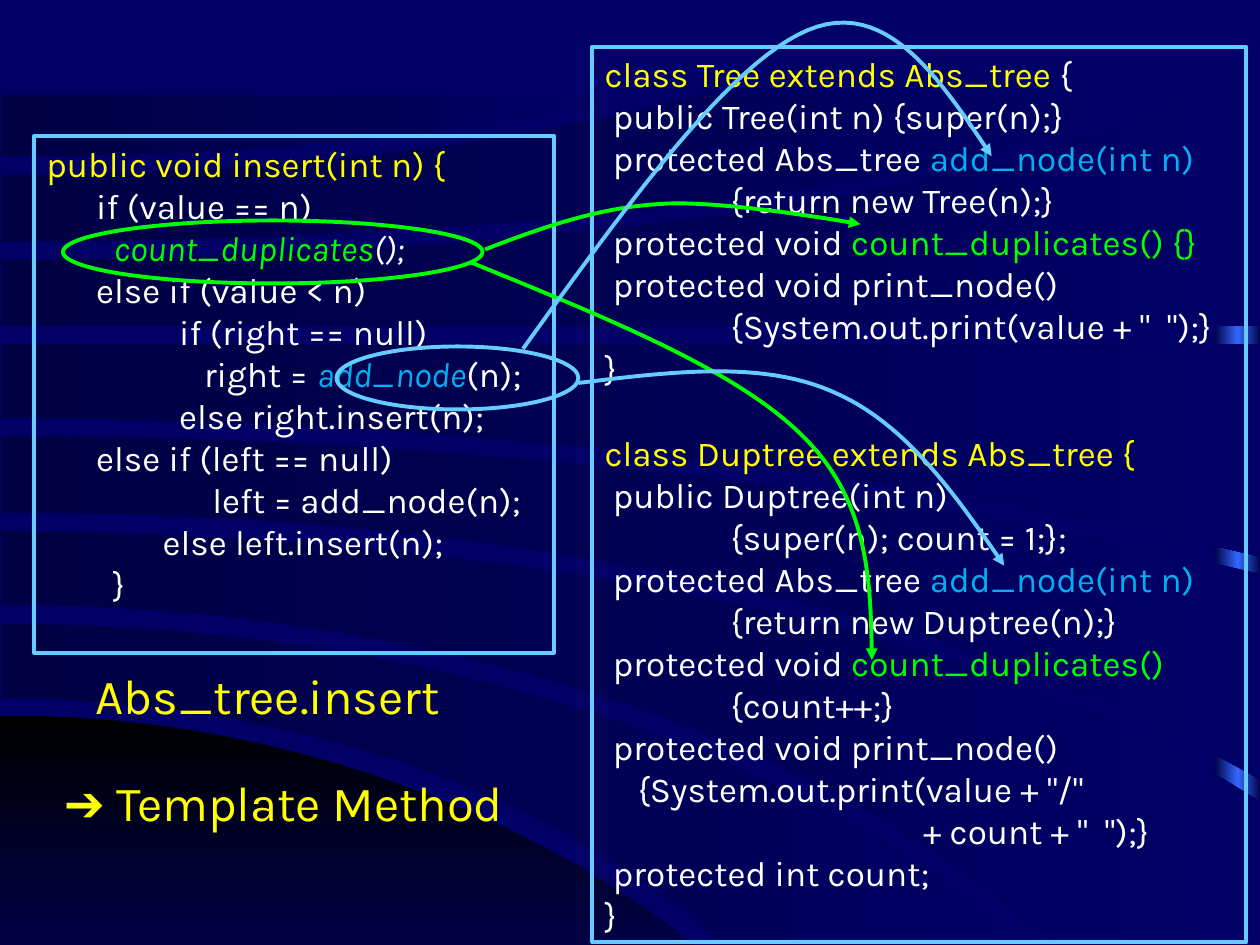
from copy import deepcopy
from lxml.etree import SubElement as Sub
from pptx import Presentation
from pptx.dml.color import RGBColor
from pptx.enum.shapes import MSO_SHAPE as Kind
from pptx.enum.text import MSO_ANCHOR as Anchor, PP_ALIGN as Align
from pptx.oxml.ns import qn
from pptx.util import Inches, Pt

color = RGBColor.from_string
NAVY, DARK, BLUE = "000066", "000044", "3366FF"
YELLOW, WHITE, GREEN = "FFFF00", "FFFFFF", "00FF00"
SKY, CYAN = "66CCFF", "00B0F0"


def trace(parts, close):
    """Draw one outline; a part of four points is a cubic curve, others are corners."""
    dots = []
    for part in parts:
        if len(part) == 4:
            for i in range(25):
                t = i / 24
                mix = ((1 - t) ** 3, 3 * t * (1 - t) ** 2, 3 * t * t * (1 - t), t ** 3)
                dots.append([sum(m * p[k] for m, p in zip(mix, part)) for k in (0, 1)])
        else:
            dots.extend(part)
    dots = [(Inches(x), Inches(y)) for x, y in dots]
    pen = shapes.build_freeform(*dots[0], scale=1.0)
    pen.add_line_segments(dots[1:], close=close)
    shape = pen.convert_to_shape()
    shape.shadow.inherit = False
    return shape


def write(box, lines, size):
    """Fill a box; a line is white text or a list of (text, color, italic, font)."""
    frame = box.text_frame
    frame.vertical_anchor = Anchor.TOP
    for i, line in enumerate(lines):
        para = frame.add_paragraph() if i else frame.paragraphs[0]
        para.alignment = Align.LEFT
        tabs = Sub(para._p.get_or_add_pPr(), qn("a:tabLst"))
        for stop in (1, 2):
            Sub(tabs, qn("a:tab"), pos=str(Inches(stop)), algn="l")
        for text, tone, *style in [(line, WHITE)] if isinstance(line, str) else line:
            run = para.add_run()
            run.text = text
            run.font.size = Pt(size)
            run.font.color.rgb = color(tone)
            run.font.italic = bool(style and style[0])
            run.font.name = style[1] if len(style) > 1 else "Karla"


deck = Presentation()
deck.slide_width, deck.slide_height = Inches(10), Inches(7.5)
slide = deck.slides.add_slide(deck.slide_layouts[6])
shapes = slide.shapes
slide.background.fill.solid()
slide.background.fill.fore_color.rgb = color(NAVY)

# Glowing edge, seen through the gaps between the bands
glow = shapes.add_shape(Kind.RECTANGLE, Inches(9.64), Inches(0.77), Inches(0.37), Inches(7.5))
glow.shadow.inherit = False
glow.line.fill.background()
glow.fill.gradient()
glow.fill.gradient_angle = 0
first = glow.fill._fill._gradFill.find(qn("a:gsLst"))[0]
first.addnext(deepcopy(first))
for stop, tone, spot in zip(glow.fill.gradient_stops, (DARK, BLUE, DARK), (0, 0.5, 1)):
    stop.color.rgb = color(tone)
    stop.position = spot

# Curved background bands: start color, angle, outline
bands = [
    ("000000", 270, [[(0, 5.68), (2.4, 5.65), (5, 6.7), (6.29, 8.27)], [(0, 8.27)]]),
    (DARK, 0, [[(0.01, 4.95), (3.3, 4.95), (6.9, 5.95), (8.94, 8.25)],
               [(6.43, 8.25), (5, 6.4), (2.5, 5.55), (0.01, 5.54)]]),
    (DARK, 0, [[(0.01, 4.21), (3.6, 4.25), (7.6, 4.8), (10.01, 6.37)], [(10.01, 8.25)],
               [(9.1, 8.25), (7.2, 5.95), (3.6, 4.8), (0.01, 4.8)]]),
    (DARK, 0, [[(0.01, 3.46), (3.4, 3.46), (7, 3.85), (10.01, 4.56)],
               [(10.01, 6.19), (7.5, 4.75), (3.8, 4.05), (0.01, 4.07)]]),
    (DARK, 0, [[(0.01, 2.73), (10.01, 2.73)],
               [(10.01, 4.42), (7.1, 3.7), (3.4, 3.32), (0.01, 3.32)]]),
    (DARK, 0, [[(0.01, 2.06), (3.4, 2.06), (7.6, 1.7), (9.44, 0.75)],
               [(10.01, 0.75), (10.01, 2.59), (0.01, 2.59)]]),
    (DARK, 0, [[(0.01, 1.39), (2, 1.39), (3.9, 1.2), (5.57, 0.75)],
               [(9.18, 0.75), (7.2, 1.65), (3.4, 1.9), (0.01, 1.92)]]),
    (DARK, 0, [[(0.01, 0.75)], [(0.01, 1.24), (1.9, 1.24), (3.5, 1.1), (5.02, 0.75)]]),
]
for start, angle, parts in bands:
    band = trace(parts, True)
    band.line.fill.background()
    band.fill.gradient()
    band.fill.gradient_angle = angle
    for stop, tone, spot in zip(band.fill.gradient_stops, (start, NAVY), (0, 1)):
        stop.color.rgb = color(tone)
        stop.position = spot

insert = [
    [("public void insert(int n) {", YELLOW)],
    "      if (value == n)",
    [("         ", WHITE, True), ("count_duplicates", GREEN, True), ("();", WHITE, True)],
    "      else if (value < n)",
    "                if (right == null)",
    [("                   right = ", WHITE), ("add_node", CYAN, True), ("(n);", WHITE)],
    "                else right.insert(n);",
    "      else if (left == null)",
    "                    left = add_node(n);",
    "              else left.insert(n);",
    "        }",
]
node = [(" protected Abs_tree ", WHITE), ("add_node(int n)", CYAN)]
trees = [
    [("class Tree extends Abs_tree", YELLOW), (" {", WHITE)],
    " public Tree(int n) {super(n);}",
    node,
    "\t{return new Tree(n);}",
    [(" protected void ", WHITE), ("count_duplicates() {}", GREEN)],
    " protected void print_node()",
    "\t{System.out.print(value + \"  \");}",
    "}",
    [("class Duptree extends Abs_tree {", YELLOW)],
    " public Duptree(int n)",
    "\t{super(n); count = 1;};",
    node,
    "\t{return new Duptree(n);}",
    [(" protected void ", WHITE), ("count_duplicates()", GREEN)],
    "\t{count++;}",
    " protected void print_node()",
    "    {System.out.print(value + \"/\"",
    "\t\t        + count + \"  \");}",
    " protected int count;",
    "}",
]

# Code boxes and the ovals that mark calls
frames = [
    (Kind.RECTANGLE, (0.27, 1.08, 4.13, 4.1), SKY, insert),
    (Kind.RECTANGLE, (4.7, 0.37, 5.19, 7.11), SKY, trees),
    (Kind.OVAL, (0.5, 1.75, 3.33, 0.5), GREEN, []),
    (Kind.OVAL, (2.67, 2.75, 1.92, 0.5), SKY, []),
]
for kind, place, tone, code in frames:
    box = shapes.add_shape(kind, *map(Inches, place))
    box.shadow.inherit = False
    box.fill.background()
    box.line.color.rgb = color(tone)
    box.line.width = Pt(2.25)
    write(box, code, 20)
    if code is trees:
        box.text_frame.paragraphs[8].space_before = Pt(24)

labels = [
    ((0.66, 5.23, 2.93, 0.57), [("Abs_tree.insert", YELLOW)]),
    ((0.41, 6.08, 3.93, 0.57), [("➔", YELLOW, False, "Arial"), (" Template Method", YELLOW)]),
]
for place, line in labels:
    label = shapes.add_textbox(*map(Inches, place))
    label.text_frame.word_wrap = False
    write(label, [line], 28)

# Curved arrows from each call to its overrides
arrows = [
    (GREEN, [[(3.85, 1.98), (4.29, 1.81), (4.74, 1.65), (5.23, 1.62)],
             [(5.23, 1.62), (5.73, 1.58), (6.83, 1.78), (6.83, 1.78)]]),
    (GREEN, [[(3.73, 2.08), (4.78, 2.51), (5.84, 2.93), (6.37, 3.46)],
             [(6.37, 3.46), (6.9, 3.98), (6.91, 4.61), (6.92, 5.24)]]),
    (SKY, [[(4.15, 2.77), (4.97, 1.63), (5.79, 0.5), (6.41, 0.24)],
           [(6.41, 0.24), (7.03, -0.02), (7.45, 0.61), (7.87, 1.24)]]),
    (SKY, [[(4.59, 3.04), (5.32, 2.95), (6.05, 2.86), (6.61, 3.11)],
           [(6.61, 3.11), (7.18, 3.35), (7.58, 3.92), (7.97, 4.49)]]),
]
for tone, parts in arrows:
    arrow = trace(parts, False)
    arrow.fill.background()
    arrow.line.color.rgb = color(tone)
    arrow.line.width = Pt(2.25)
    Sub(arrow.element.spPr.find(qn("a:ln")), qn("a:tailEnd"), type="triangle")

deck.save("out.pptx")
